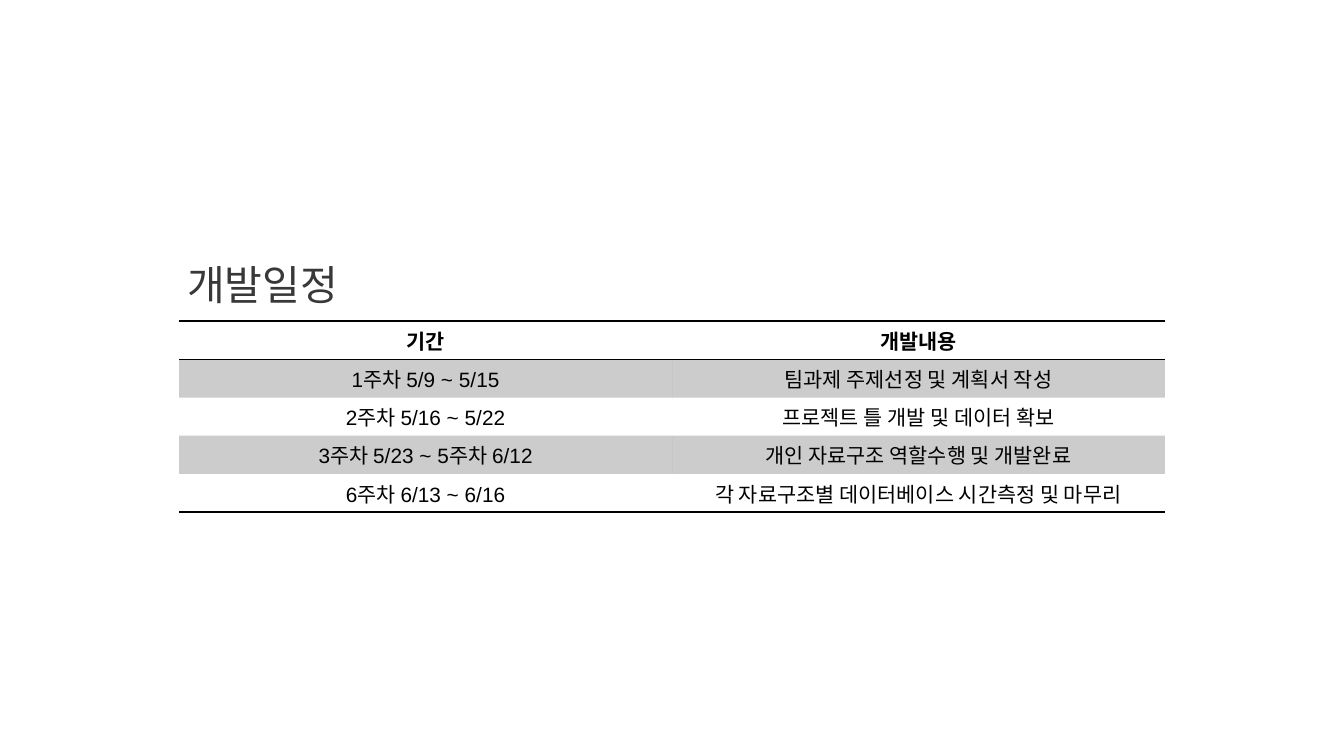
"""Build the development schedule slide."""
from dataclasses import dataclass

from lxml.etree import SubElement
from pptx import Presentation
from pptx.dml.color import RGBColor
from pptx.enum.text import MSO_ANCHOR, PP_ALIGN
from pptx.oxml import parse_xml
from pptx.oxml.ns import nsdecls, qn
from pptx.slide import Slide
from pptx.table import _Cell
from pptx.text.text import TextFrame
from pptx.util import Inches, Pt


@dataclass(frozen=True)
class Theme:
    font: str = "Arial"
    heading: str = "383838"
    ink: str = "000000"
    heading_size: float = 22
    body_size: float = 11.1
    rule_width: float = 0.95
    band_opacity: int = 20


@dataclass(frozen=True)
class Phase:
    period: str
    task: str


THEME = Theme()
SLIDE_WIDTH = Inches(10)
MARGIN = Inches(4 / 3)
HEADER = Phase("기간", "개발내용")
PHASES = [
    Phase("1주차 5/9 ~ 5/15", "팀과제 주제선정 및 계획서 작성"),
    Phase("2주차 5/16 ~ 5/22", "프로젝트 틀 개발 및 데이터 확보"),
    Phase("3주차 5/23 ~ 5주차 6/12", "개인 자료구조 역할수행 및 개발완료"),
    Phase("6주차 6/13 ~ 6/16", "각 자료구조별 데이터베이스 시간측정 및 마무리"),
]


def write_text(frame: TextFrame, text: str, *, size: float, color: str,
               bold: bool = False, align: PP_ALIGN = PP_ALIGN.LEFT,
               spacing: float = 1.0) -> None:
    frame.word_wrap = True
    paragraph = frame.paragraphs[0]
    paragraph.alignment = align
    paragraph.line_spacing = spacing
    run = paragraph.add_run()
    run.text = text
    run.font.name = THEME.font
    run.font.size = Pt(size)
    run.font.bold = bold
    run.font.color.rgb = RGBColor.from_string(color)


def set_borders(cell: _Cell, ruled_sides: str) -> None:
    properties = cell._tc.get_or_add_tcPr()
    for position, side in enumerate("LRTB"):
        if side in ruled_sides:
            width = Pt(THEME.rule_width)
            paint = f'<a:solidFill><a:srgbClr val="{THEME.ink}"/></a:solidFill>'
        else:
            width, paint = 0, "<a:noFill/>"
        border = parse_xml(f'<a:ln{side} {nsdecls("a")} w="{width}">{paint}</a:ln{side}>')
        properties.insert(position, border)


def fill_cell(cell: _Cell, banded: bool) -> None:
    if not banded:
        cell.fill.background()
        return
    cell.fill.solid()
    cell.fill.fore_color.rgb = RGBColor.from_string(THEME.ink)
    color = cell._tc.tcPr.find(f'{qn("a:solidFill")}/{qn("a:srgbClr")}')
    SubElement(color, qn("a:alpha"), val=str(THEME.band_opacity * 1000))


def add_heading(slide: Slide, text: str) -> None:
    heading = slide.shapes.add_textbox(MARGIN, Inches(1.81), Inches(3.04), Inches(0.38))
    frame = heading.text_frame
    frame.margin_left = frame.margin_right = Inches(0.06)
    frame.margin_top = frame.margin_bottom = Inches(0.03)
    write_text(frame, text, size=THEME.heading_size, color=THEME.heading, spacing=1.25)


def add_schedule(slide: Slide, phases: list[Phase]) -> None:
    entries = [HEADER, *phases]
    schedule = slide.shapes.add_table(len(entries), 2, MARGIN, Inches(2.39),
                                      SLIDE_WIDTH - 2 * MARGIN, Inches(1.42)).table
    schedule.horz_banding = False
    last = len(phases)
    ruled_sides = {0: "TB", 1: "T", last: "B"}
    for index, entry in enumerate(entries):
        for column, text in enumerate((entry.period, entry.task)):
            cell = schedule.cell(index, column)
            cell.margin_left = cell.margin_right = Inches(0.06)
            cell.margin_top = cell.margin_bottom = Inches(0.03)
            cell.vertical_anchor = MSO_ANCHOR.MIDDLE
            fill_cell(cell, banded=index % 2 == 1)
            set_borders(cell, ruled_sides.get(index, ""))
            write_text(cell.text_frame, text, size=THEME.body_size, color=THEME.ink,
                       bold=index == 0, align=PP_ALIGN.CENTER)


def main() -> None:
    presentation = Presentation()
    presentation.slide_width = SLIDE_WIDTH
    presentation.slide_height = SLIDE_WIDTH * 9 // 16
    slide = presentation.slides.add_slide(presentation.slide_layouts[6])
    add_heading(slide, "개발일정")
    add_schedule(slide, PHASES)
    presentation.save("out.pptx")


if __name__ == "__main__":
    main()
